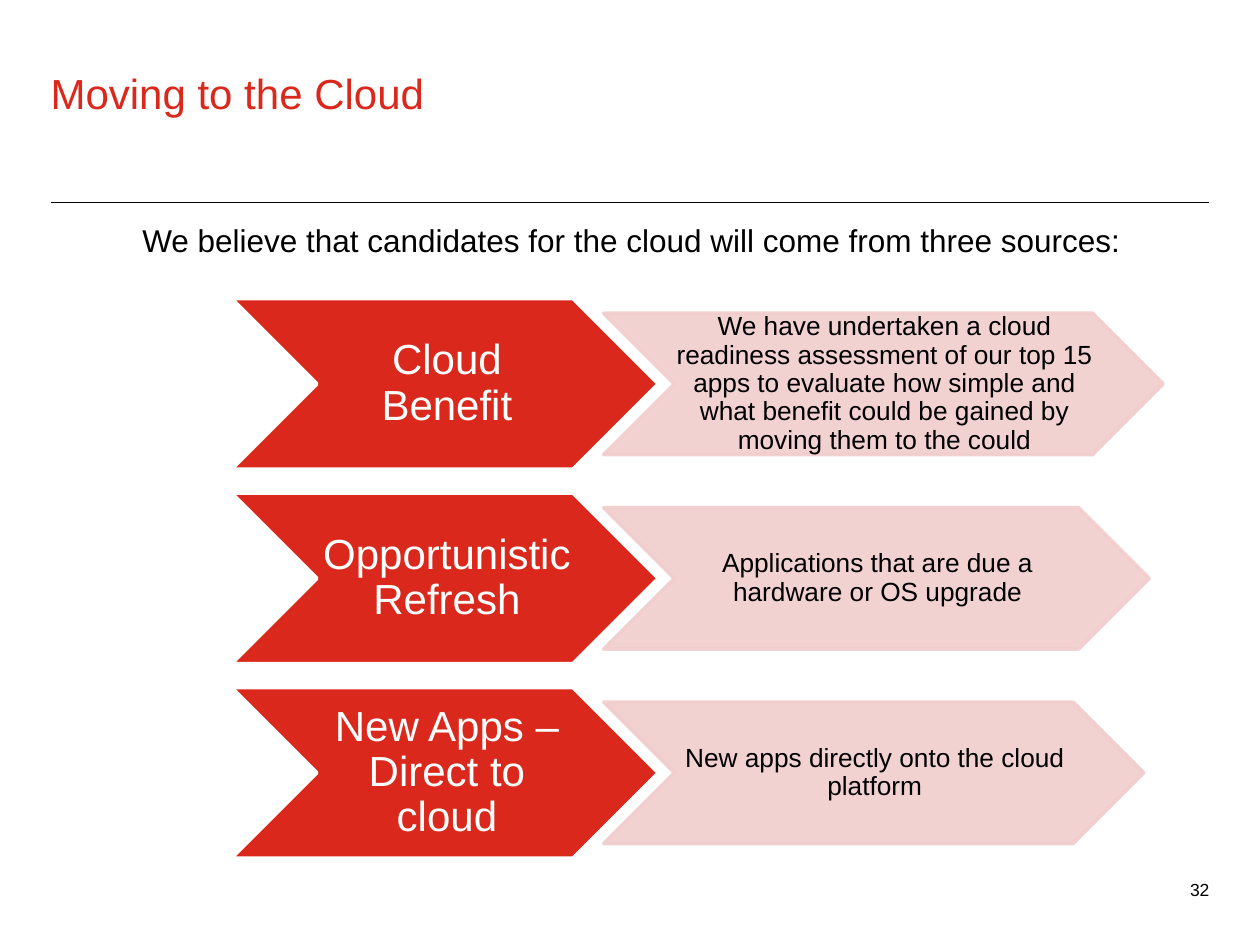
from lxml.etree import SubElement
from pptx import Presentation
from pptx.dml.color import RGBColor
from pptx.enum.shapes import MSO_CONNECTOR, MSO_SHAPE
from pptx.enum.text import MSO_ANCHOR, PP_ALIGN
from pptx.oxml.ns import qn
from pptx.util import Cm, Pt

RED = RGBColor(0xDA, 0x29, 0x1C)
PINK = RGBColor(0xF1, 0xCD, 0xCD)
BLACK = RGBColor(0, 0, 0)
WHITE = RGBColor(0xFF, 0xFF, 0xFF)

TITLE = "Moving to the Cloud"
INTRO = "We believe that candidates for the cloud will come from three sources:"
PAGE = "32"
# source, explanation, width of the explanation chevron in cm
SOURCES = [
    ("Cloud Benefit",
     "We have undertaken a cloud readiness assessment of our top 15 apps to "
     "evaluate how simple and what benefit could be gained by moving them to the could",
     11.28),
    ("Opportunistic Refresh", "Applications that are due a hardware or OS upgrade", 11),
    ("New Apps – Direct to cloud", "New apps directly onto the cloud platform", 10.89),
]

TOP, PITCH = 6.02, 3.92
SOURCE_LEFT, SOURCE_W, SOURCE_H = 4.67, 8.6, 3.44
DETAIL_LEFT, DETAIL_H = 12.17, 2.85
DETAIL_DROP = (SOURCE_H - DETAIL_H) / 2

SOURCE_FORMAT = dict(fill=RED, line=WHITE, size=24, color=WHITE, insets=(0.08, 0.04, 0, 0.04))
DETAIL_FORMAT = dict(fill=PINK, line=PINK, size=15, color=BLACK, insets=(0.04, 0.02, 0, 0.02), alpha=90)


def write(sp, text, size, color, insets=None, align=PP_ALIGN.LEFT,
          spacing=None, anchor=MSO_ANCHOR.TOP):
    tf = sp.text_frame
    tf.word_wrap = True
    tf.vertical_anchor = anchor
    if insets is not None:
        for side, value in zip(("left", "top", "right", "bottom"), insets):
            setattr(tf, f"margin_{side}", Cm(value))
    p = tf.paragraphs[0]
    p.alignment = align
    if spacing:
        p.line_spacing = spacing
    r = p.add_run()
    r.text = text
    r.font.name, r.font.size = "Arial", Pt(size)
    r.font.color.rgb = color


def add_text(slide, box, *args, **kwargs):
    write(slide.shapes.add_textbox(*map(Cm, box)), *args, **kwargs)


def add_chevron(slide, box, text, fill, line, size, color, insets, alpha=None):
    sp = slide.shapes.add_shape(MSO_SHAPE.CHEVRON, *map(Cm, box))
    sp.shadow.inherit = False
    sp.fill.solid()
    sp.fill.fore_color.rgb = fill
    sp.line.color.rgb = line
    sp.line.width = Pt(2)
    if alpha:
        for clr in sp._element.spPr.iter(qn("a:srgbClr")):
            SubElement(clr, qn("a:alpha"), val=str(alpha * 1000))
    write(sp, text, size, color, insets, PP_ALIGN.CENTER, 0.9, MSO_ANCHOR.MIDDLE)


def main():
    prs = Presentation()
    prs.slide_width, prs.slide_height = Cm(25.4), Cm(19.05)
    slide = prs.slides.add_slide(prs.slide_layouts[6])

    rule = slide.shapes.add_connector(MSO_CONNECTOR.STRAIGHT, Cm(1.02), Cm(4.08), Cm(24.38), Cm(4.08))
    rule.line.color.rgb = BLACK
    rule.line.width = Pt(0.5)
    SubElement(rule._element.spPr, qn("a:effectLst"))

    flush = dict(insets=(0, 0, 0, 0), spacing=0.85)
    add_text(slide, (1.02, 1.52, 19.43, 2.24), TITLE, 24, RED, **flush)
    add_text(slide, (23.29, 17.78, 1.09, 0.51), PAGE, 10, BLACK, align=PP_ALIGN.RIGHT, **flush)

    for i, (source, detail, detail_w) in enumerate(SOURCES):
        top = TOP + i * PITCH
        add_chevron(slide, (SOURCE_LEFT, top, SOURCE_W, SOURCE_H), source, **SOURCE_FORMAT)
        add_chevron(slide, (DETAIL_LEFT, top + DETAIL_DROP, detail_w, DETAIL_H), detail, **DETAIL_FORMAT)

    add_text(slide, (2.62, 4.34, 20.37, 1.02), INTRO, 18, BLACK)
    prs.save("out.pptx")


if __name__ == "__main__":
    main()
